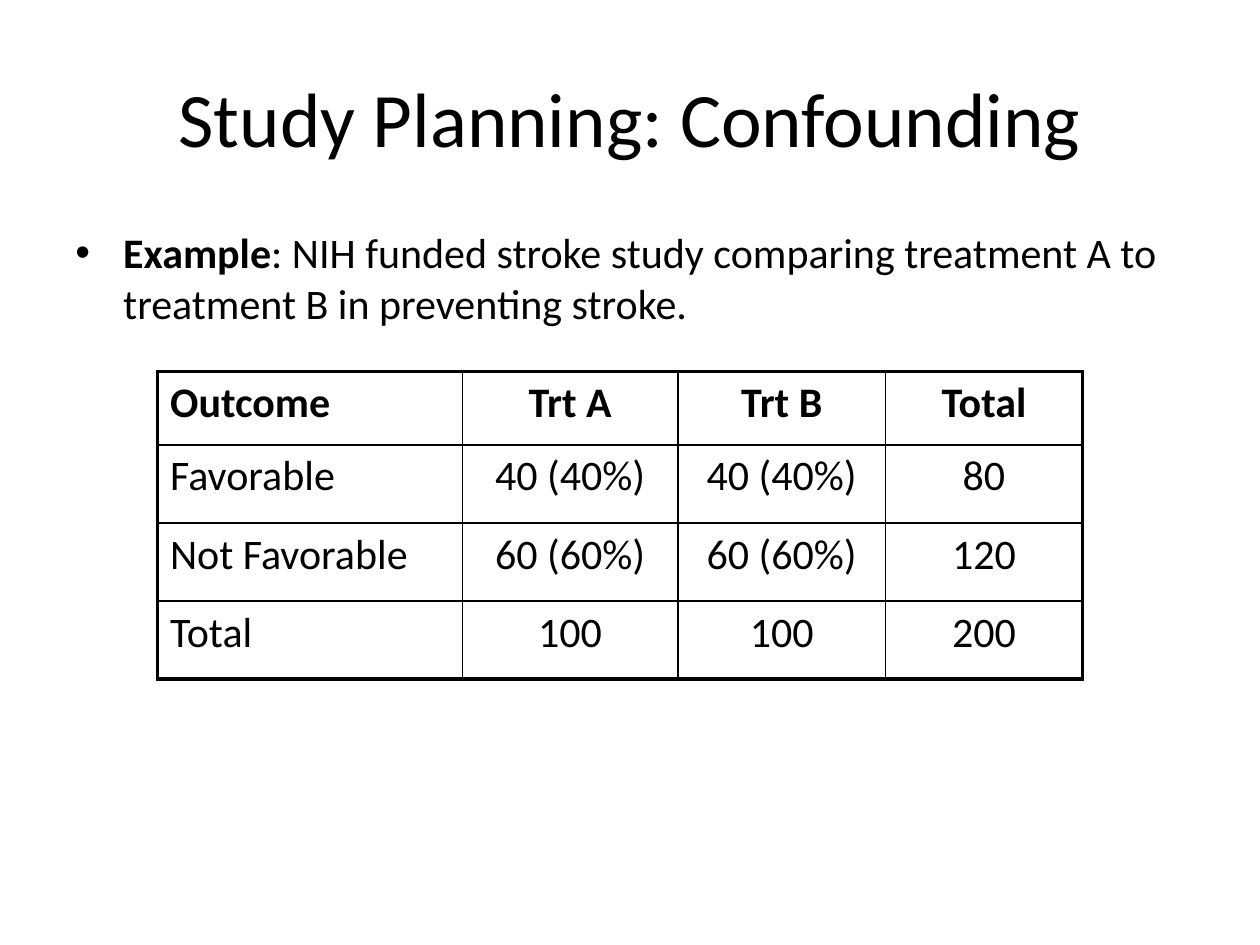
from dataclasses import dataclass

from lxml.etree import SubElement
from pptx import Presentation
from pptx.dml.color import RGBColor
from pptx.enum.text import MSO_ANCHOR as Anchor, PP_ALIGN as Align
from pptx.oxml import parse_xml
from pptx.oxml.ns import nsdecls, qn
from pptx.util import Inches, Pt

FONT = "Calibri"
BLACK = "000000"
THIN, THICK = 1, 2.25
COLUMN_WIDTHS = (2.42, 1.71, 1.65, 1.56)
ROW_HEIGHTS = (0.58, 0.62, 0.62, 0.62)


@dataclass(frozen=True)
class OutcomeRow:
    outcome: str
    treatment_a: str
    treatment_b: str
    total: str
    bold: bool = False

    def texts(self) -> tuple[str, ...]:
        return self.outcome, self.treatment_a, self.treatment_b, self.total


OUTCOMES = (
    OutcomeRow("Outcome", "Trt A", "Trt B", "Total", bold=True),
    OutcomeRow("Favorable", "40 (40%)", "40 (40%)", "80"),
    OutcomeRow("Not Favorable", "60 (60%)", "60 (60%)", "120"),
    OutcomeRow("Total", "100", "100", "200"),
)


def rgb(value: str) -> RGBColor:
    return RGBColor.from_string(value)


def write_text(paragraph, text: str, *, size: float = 24, bold: bool = False,
               align=Align.LEFT, before: float = 4.8, color: str = BLACK) -> None:
    paragraph.alignment = align
    paragraph.space_before = Pt(before)
    run = paragraph.add_run()
    run.text = text
    run.font.name = FONT
    run.font.size = Pt(size)
    run.font.bold = bold
    run.font.color.rgb = rgb(color)


def add_bullet(paragraph, indent: float) -> None:
    properties = paragraph._p.get_or_add_pPr()
    properties.set("marL", str(Inches(indent)))
    properties.set("indent", str(-Inches(indent)))
    SubElement(properties, qn("a:buFont"), typeface="Arial")
    SubElement(properties, qn("a:buChar"), char="•")


def set_borders(cell, widths: dict[str, float]) -> None:
    properties = cell._tc.get_or_add_tcPr()
    for position, (side, width) in enumerate(widths.items()):
        properties.insert(position, parse_xml(
            f'<a:ln{side} {nsdecls("a")} w="{Pt(width)}"><a:solidFill>'
            f'<a:srgbClr val="{BLACK}"/></a:solidFill></a:ln{side}>'))


def add_title(slide) -> None:
    title = slide.shapes.title
    title.left, title.top = Inches(0.5), Inches(0.3)
    title.width, title.height = Inches(9), Inches(1.25)
    title.text_frame.vertical_anchor = Anchor.MIDDLE
    write_text(title.text_frame.paragraphs[0], "Study Planning: Confounding",
               size=44, align=Align.CENTER, before=0)


def add_example(slide) -> None:
    box = slide.shapes.add_textbox(Inches(0.5), Inches(1.75), Inches(9), Inches(4.95))
    box.text_frame.word_wrap = True
    paragraph = box.text_frame.paragraphs[0]
    write_text(paragraph, "Example", bold=True)
    write_text(paragraph, ": NIH funded stroke study comparing treatment A to "
                          "treatment B in preventing stroke.")
    add_bullet(paragraph, 0.38)


def add_outcome_table(slide, outcomes: tuple[OutcomeRow, ...]) -> None:
    last_row, last_column = len(outcomes) - 1, len(COLUMN_WIDTHS) - 1
    table = slide.shapes.add_table(
        len(outcomes), len(COLUMN_WIDTHS), Inches(1.25), Inches(2.95),
        Inches(sum(COLUMN_WIDTHS)), Inches(sum(ROW_HEIGHTS))).table
    table.first_row = table.horz_banding = False
    for column, width in zip(table.columns, COLUMN_WIDTHS):
        column.width = Inches(width)
    for row, height in zip(table.rows, ROW_HEIGHTS):
        row.height = Inches(height)
    for row_index, outcome in enumerate(outcomes):
        for column_index, text in enumerate(outcome.texts()):
            cell = table.cell(row_index, column_index)
            cell.fill.background()
            write_text(cell.text_frame.paragraphs[0], text, bold=outcome.bold,
                       align=Align.CENTER if column_index else Align.LEFT)
            set_borders(cell, {
                "L": THICK if column_index == 0 else THIN,
                "R": THICK if column_index == last_column else THIN,
                "T": THICK if row_index == 0 else THIN,
                "B": THICK if row_index == last_row else THIN,
            })


def main() -> None:
    presentation = Presentation()
    presentation.slide_width, presentation.slide_height = Inches(10), Inches(7.5)
    slide = presentation.slides.add_slide(presentation.slide_layouts[5])
    add_title(slide)
    add_example(slide)
    add_outcome_table(slide, OUTCOMES)
    presentation.save("out.pptx")


if __name__ == "__main__":
    main()
